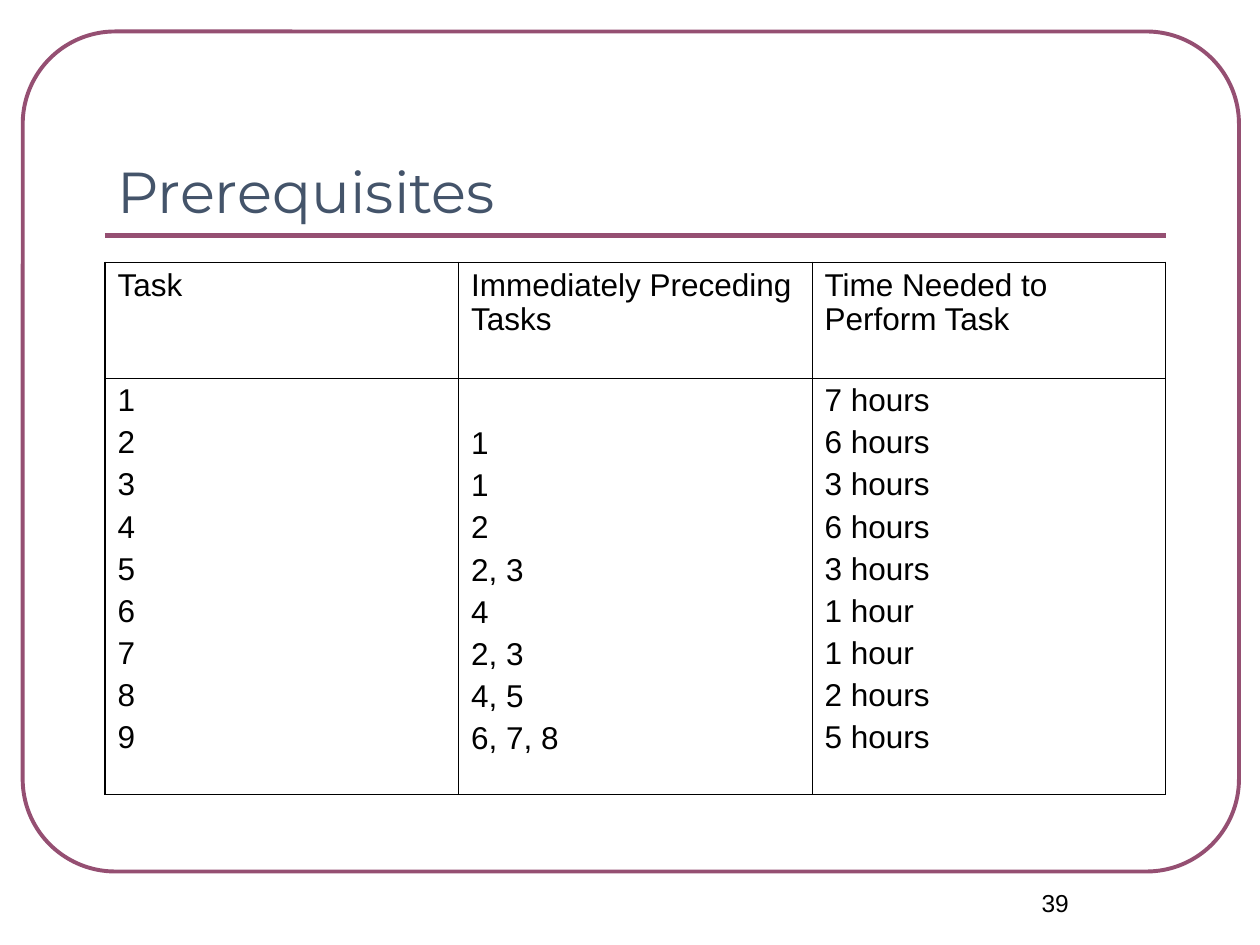
from lxml.etree import SubElement
from pptx import Presentation
from pptx.dml.color import RGBColor
from pptx.enum.shapes import MSO_CONNECTOR, MSO_SHAPE
from pptx.enum.text import MSO_ANCHOR, MSO_AUTO_SIZE, PP_ALIGN
from pptx.oxml.ns import qn
from pptx.util import Pt

PLUM = "954F72"
SLATE = "44546A"
BLACK = "000000"
LEFT, WIDTH = 60, 606


def color(value):
    return RGBColor.from_string(value)


def write(text_frame, text, size=18, font="Arial", fill=BLACK,
          align=PP_ALIGN.LEFT, before=0, spacing=1.0):
    text_frame.word_wrap = True
    text_frame.text = text
    for paragraph in text_frame.paragraphs:
        paragraph.alignment = align
        paragraph.space_before = Pt(before)
        paragraph.line_spacing = spacing
        paragraph.font.size = Pt(size)
        for run in paragraph.runs:
            run.font.size = Pt(size)
            run.font.name = font
            run.font.color.rgb = color(fill)


presentation = Presentation()
presentation.slide_width = Pt(720)
presentation.slide_height = Pt(540)
slide = presentation.slides.add_slide(presentation.slide_layouts[5])
shapes = slide.shapes

# Title
title = shapes.title
title.left, title.top, title.width, title.height = Pt(LEFT), Pt(42), Pt(WIDTH), Pt(90)
title.text_frame.auto_size = MSO_AUTO_SIZE.NONE
title.text_frame.vertical_anchor = MSO_ANCHOR.BOTTOM
write(title.text_frame, "Prerequisites", size=33, font="Montserrat", fill=SLATE)

# Rounded frame
frame = shapes.add_shape(MSO_SHAPE.ROUNDED_RECTANGLE, Pt(13), Pt(18), Pt(695), Pt(480))
frame.adjustments[0] = 0.11
frame.shadow.inherit = False
frame.fill.background()
frame.line.color.rgb = color(PLUM)
frame.line.width = Pt(2.25)

# Rule below the title
rule = shapes.add_connector(MSO_CONNECTOR.STRAIGHT, Pt(LEFT), Pt(134.7),
                            Pt(LEFT + WIDTH), Pt(134.7))
rule.line.color.rgb = color(PLUM)
rule.line.width = Pt(3)
SubElement(rule.element.spPr, qn("a:effectLst"))

# Slide number
number = shapes.add_textbox(Pt(540), Pt(504), Pt(126), Pt(36))
write(number.text_frame, "39", size=14, align=PP_ALIGN.CENTER)

# Task table: each body cell lists one paragraph per task
headers = ["Task", "Immediately Preceding Tasks", "Time Needed to Perform Task"]
preceding = ["1", "1", "2", "2, 3", "4", "2, 3", "4, 5", "6, 7, 8"]
hours = [7, 6, 3, 6, 3, 1, 1, 2, 5]
body = [
    "\n".join(str(task) for task in range(1, 10)),
    "\n".join(preceding),
    "\n".join(f"{hour} hour" if hour == 1 else f"{hour} hours" for hour in hours),
]
row_heights = [66, 238]
table = shapes.add_table(2, 3, Pt(LEFT), Pt(150), Pt(WIDTH), Pt(sum(row_heights))).table
table.first_row = False
table.horz_banding = False
for column in table.columns:
    column.width = Pt(WIDTH / 3)

for row_index, texts in enumerate([headers, body]):
    table.rows[row_index].height = Pt(row_heights[row_index])
    for column_index, text in enumerate(texts):
        cell = table.cell(row_index, column_index)
        write(cell.text_frame, text, before=4.5, spacing=0.97)
        # Outer edges are heavier than inner ones
        outer_edges = {
            "lnL": column_index == 0,
            "lnR": column_index == 2,
            "lnT": row_index == 0,
            "lnB": row_index == 1,
        }
        properties = cell._tc.get_or_add_tcPr()
        for edge, is_outer in outer_edges.items():
            line = SubElement(properties, qn(f"a:{edge}"),
                              w=str(Pt(1.08 if is_outer else 0.45)))
            fill = SubElement(line, qn("a:solidFill"))
            SubElement(fill, qn("a:srgbClr"), val=BLACK)
        cell.fill.background()

# Task 1 has no predecessor, so its column starts one line lower
table.cell(1, 1).margin_top = Pt(28.2)

presentation.save("out.pptx")
